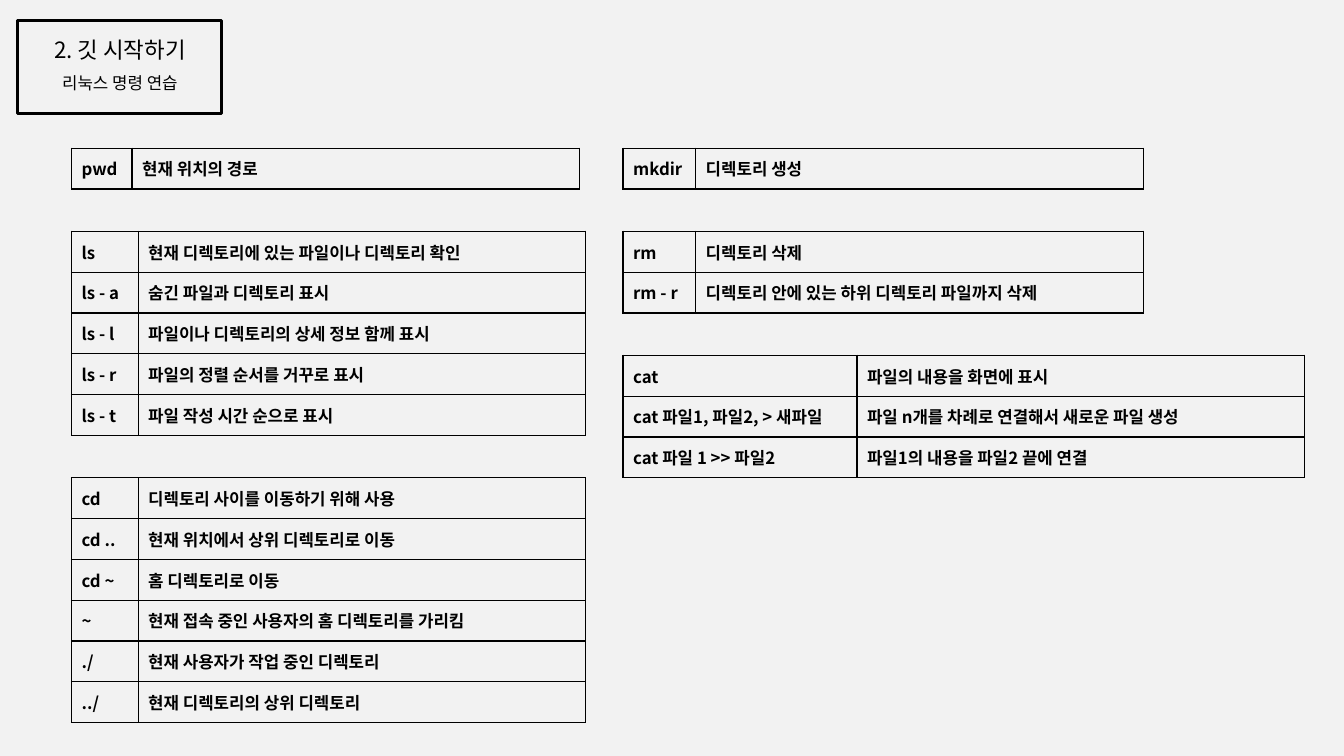
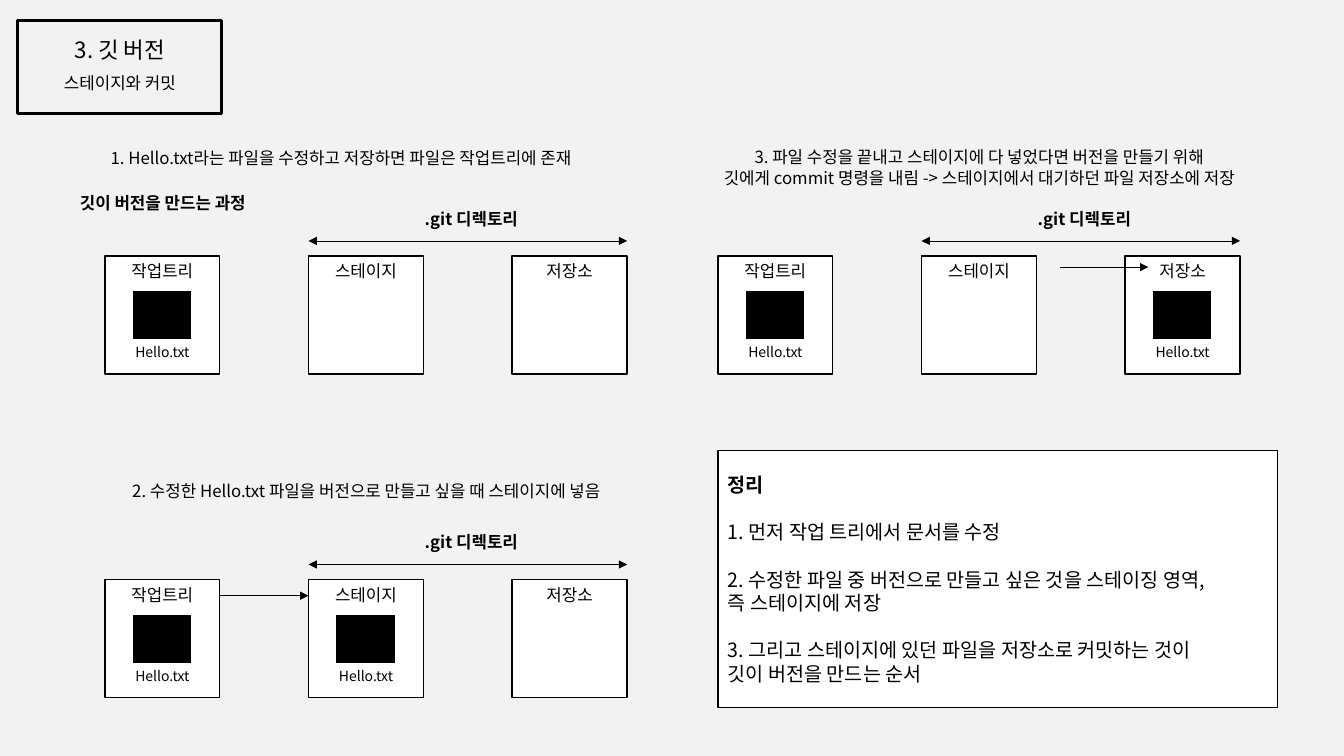
from lxml import etree
from pptx import Presentation
from pptx.dml.color import RGBColor
from pptx.enum.shapes import MSO_CONNECTOR, MSO_SHAPE
from pptx.enum.text import MSO_ANCHOR, MSO_AUTO_SIZE, PP_ALIGN
from pptx.oxml import parse_xml
from pptx.oxml.ns import nsdecls, qn
from pptx.util import Inches, Pt

LEFT, CENTER = PP_ALIGN.LEFT, PP_ALIGN.CENTER
TOP, MIDDLE = MSO_ANCHOR.TOP, MSO_ANCHOR.MIDDLE
RECTANGLE, STRAIGHT = MSO_SHAPE.RECTANGLE, MSO_CONNECTOR.STRAIGHT
NO_AUTOFIT = MSO_AUTO_SIZE.NONE

FONT = "Noto Sans CJK KR"
COLORS = {"paper": "F2F2F2", "ink": "000000", "white": "FFFFFF"}

COMMAND_SLIDE = ("2. 깃 시작하기", "리눅스 명령 연습")
COMMAND_COLUMNS = [
    (0.71, [
        (0.6, [("pwd", "현재 위치의 경로")]),
        (0.66, [
            ("ls", "현재 디렉토리에 있는 파일이나 디렉토리 확인"),
            ("ls - a", "숨긴 파일과 디렉토리 표시"),
            ("ls - l", "파일이나 디렉토리의 상세 정보 함께 표시"),
            ("ls - r", "파일의 정렬 순서를 거꾸로 표시"),
            ("ls - t", "파일 작성 시간 순으로 표시"),
        ]),
        (0.66, [
            ("cd", "디렉토리 사이를 이동하기 위해 사용"),
            ("cd ..", "현재 위치에서 상위 디렉토리로 이동"),
            ("cd ~", "홈 디렉토리로 이동"),
            ("~", "현재 접속 중인 사용자의 홈 디렉토리를 가리킴"),
            ("./", "현재 사용자가 작업 중인 디렉토리"),
            ("../", "현재 디렉토리의 상위 디렉토리"),
        ]),
    ]),
    (6.18, [
        (0.72, [("mkdir", "디렉토리 생성")]),
        (0.72, [
            ("rm", "디렉토리 삭제"),
            ("rm - r", "디렉토리 안에 있는 하위 디렉토리 파일까지 삭제"),
        ]),
        (2.32, [
            ("cat", "파일의 내용을 화면에 표시"),
            ("cat 파일1, 파일2, > 새파일", "파일 n개를 차례로 연결해서 새로운 파일 생성"),
            ("cat 파일 1 >> 파일2", "파일1의 내용을 파일2 끝에 연결"),
        ]),
    ]),
]
TABLES_TOP, TABLE_GAP = Inches(1.47), Inches(0.42)
ROW_HEIGHT, DESCRIPTION_WIDTH = Inches(2.43) // 6, Inches(4.44)

VERSION_SLIDE = ("3. 깃 버전", "스테이지와 커밋")
PROCESS_HEADING = "깃이 버전을 만드는 과정"
STAGES = ["작업트리", "스테이지", "저장소"]
GIT_LABEL, FILE_NAME = ".git 디렉토리", "Hello.txt"
STAGE_STEP, STAGE_WIDTH, STAGE_HEIGHT = 2.02, 1.14, 1.17
STEPS = [
    {"origin": (1.04, 2.54), "files": [0], "move": None,
     "caption": ["1. Hello.txt라는 파일을 수정하고 저장하면 파일은 작업트리에 존재"],
     "caption_box": (1, 1.42, 5.26, 0.3), "align": LEFT},
    {"origin": (1.04, 5.75), "files": [0, 1], "move": (1.14, 0.16),
     "caption": ["2. 수정한 Hello.txt 파일을 버전으로 만들고 싶을 때 스테이지에 넣음"],
     "caption_box": (0.74, 4.72, 5.79, 0.3), "align": CENTER},
    {"origin": (7.12, 2.54), "files": [0, 2], "move": (3.39, 0.11),
     "caption": ["3. 파일 수정을 끝내고 스테이지에 다 넣었다면 버전을 만들기 위해",
                 "깃에게 commit 명령을 내림 -> 스테이지에서 대기하던 파일 저장소에 저장"],
     "caption_box": (6.53, 1.41, 6.37, 0.71), "align": CENTER},
]
MOVE_LENGTH = 0.88
SUMMARY = [
    "정리",
    "1. 먼저 작업 트리에서 문서를 수정",
    "2. 수정한 파일 중 버전으로 만들고 싶은 것을 스테이징 영역,\n즉 스테이지에 저장",
    "3. 그리고 스테이지에 있던 파일을 저장소로 커밋하는 것이\n깃이 버전을 만드는 순서",
]


def color(name):
    return RGBColor.from_string(COLORS[name])


def inches(*lengths):
    return [Inches(length) for length in lengths]


def write(frame, lines, size, align=LEFT, anchor=TOP, bold=False):
    frame.word_wrap = True
    frame.auto_size = NO_AUTOFIT
    frame.vertical_anchor = anchor
    for number, line in enumerate(lines):
        paragraph = frame.add_paragraph() if number else frame.paragraphs[0]
        paragraph.text = line
        style(paragraph, size, align, bold)


def style(paragraph, size, align=LEFT, bold=False):
    paragraph.alignment = align
    paragraph.space_before = Pt(0)
    font = paragraph.font
    font.name, font.size, font.bold = FONT, Pt(size), bold
    font.color.rgb = color("ink")
    defaults = paragraph._p.pPr.find(qn("a:defRPr"))
    etree.SubElement(defaults, qn("a:ea")).set("typeface", FONT)


def add_text(slide, box, lines, size=12, **look):
    text = slide.shapes.add_textbox(*inches(*box))
    write(text.text_frame, lines, size, **look)


def add_box(slide, box, fill, line, width):
    shape = slide.shapes.add_shape(RECTANGLE, *inches(*box))
    shape.shadow.inherit = False
    if fill:
        shape.fill.solid()
        shape.fill.fore_color.rgb = color(fill)
    else:
        shape.fill.background()
    shape.line.color.rgb = color(line)
    shape.line.width = Pt(width)
    return shape


def add_arrow(slide, left, right, y, ends):
    arrow = slide.shapes.add_connector(STRAIGHT, *inches(left, y, right, y))
    arrow.line.color.rgb = color("ink")
    arrow.line.width = Pt(0.5)
    properties = arrow._element.spPr
    outline = properties.find(qn("a:ln"))
    for end in ends:
        etree.SubElement(outline, qn(f"a:{end}")).set("type", "triangle")
    etree.SubElement(properties, qn("a:effectLst"))


def add_slide(prs, heading):
    slide = prs.slides.add_slide(prs.slide_layouts[0])
    add_box(slide, (0.17, 0.2, 2.03, 0.93), None, "ink", 2)
    places = [(0.23, 0.31, 1.92, 0.37), (0.23, 0.67, 1.92, 0.3)]
    for holder, text, place, size in zip(slide.placeholders, heading, places, (16, 12)):
        holder.left, holder.top, holder.width, holder.height = inches(*place)
        write(holder.text_frame, [text], size, CENTER)
    return slide


def set_borders(cell):
    properties = cell._tc.get_or_add_tcPr()
    for index, side in enumerate(("lnL", "lnR", "lnT", "lnB")):
        properties.insert(index, parse_xml(
            f'<a:{side} {nsdecls("a")} w="{Pt(1)}"><a:solidFill>'
            f'<a:srgbClr val="{COLORS["ink"]}"/></a:solidFill></a:{side}>'))


def add_command_table(slide, left, top, command_width, commands):
    widths = [Inches(command_width), DESCRIPTION_WIDTH]
    height = ROW_HEIGHT * len(commands)
    table = slide.shapes.add_table(len(commands), 2, left, top, sum(widths), height).table
    table.first_row = table.horz_banding = False
    for column, width in zip(table.columns, widths):
        column.width = width
    for row, texts in zip(table.rows, commands):
        row.height = ROW_HEIGHT
        for cell, text in zip(row.cells, texts):
            cell.text = text
            cell.vertical_anchor = MIDDLE
            cell.fill.solid()
            cell.fill.fore_color.rgb = color("paper")
            style(cell.text_frame.paragraphs[0], 12, bold=True)
            set_borders(cell)
    return height


def add_step(slide, step):
    left, top = step["origin"]
    lefts = [left + STAGE_STEP * number for number in range(len(STAGES))]
    for x, name in zip(lefts, STAGES):
        stage = add_box(slide, (x, top, STAGE_WIDTH, STAGE_HEIGHT), "white", "ink", 1)
        write(stage.text_frame, [name], 12, CENTER)
    add_arrow(slide, lefts[1], lefts[2] + STAGE_WIDTH, top - 0.15, ("headEnd", "tailEnd"))
    add_text(slide, (lefts[1] + 0.92, top - 0.52, 1.39, 0.3), [GIT_LABEL],
             align=CENTER, anchor=MIDDLE, bold=True)
    for number in step["files"]:
        x = lefts[number]
        add_box(slide, (x + 0.27, top + 0.34, 0.59, 0.49), "ink", "white", 1)
        add_text(slide, (x, top + 0.82, STAGE_WIDTH, 0.27), [FILE_NAME], 10, align=CENTER)
    add_text(slide, step["caption_box"], step["caption"], align=step["align"])
    if step["move"]:
        x, y = step["move"]
        add_arrow(slide, left + x, left + x + MOVE_LENGTH, top + y, ("tailEnd",))


def build_commands(prs):
    slide = add_slide(prs, COMMAND_SLIDE)
    for left, tables in COMMAND_COLUMNS:
        top = TABLES_TOP
        for command_width, commands in tables:
            top += add_command_table(slide, Inches(left), top, command_width, commands)
            top += TABLE_GAP


def build_versions(prs):
    slide = add_slide(prs, VERSION_SLIDE)
    add_text(slide, (0.57, 1.86, 2.09, 0.3), [PROCESS_HEADING],
             align=CENTER, anchor=MIDDLE, bold=True)
    for step in STEPS:
        add_step(slide, step)
    summary = add_box(slide, (7.12, 4.47, 5.55, 2.55), "white", "ink", 1).text_frame
    write(summary, SUMMARY, 14, anchor=MIDDLE)
    title, *points = summary.paragraphs
    title.font.bold = True
    for point in points:
        point.space_before = Pt(17)


def main():
    prs = Presentation()
    prs.slide_width, prs.slide_height = inches(13.33, 7.5)
    background = prs.slide_master.background.fill
    background.solid()
    background.fore_color.rgb = color("paper")
    build_commands(prs)
    build_versions(prs)
    prs.save("out.pptx")


if __name__ == "__main__":
    main()
